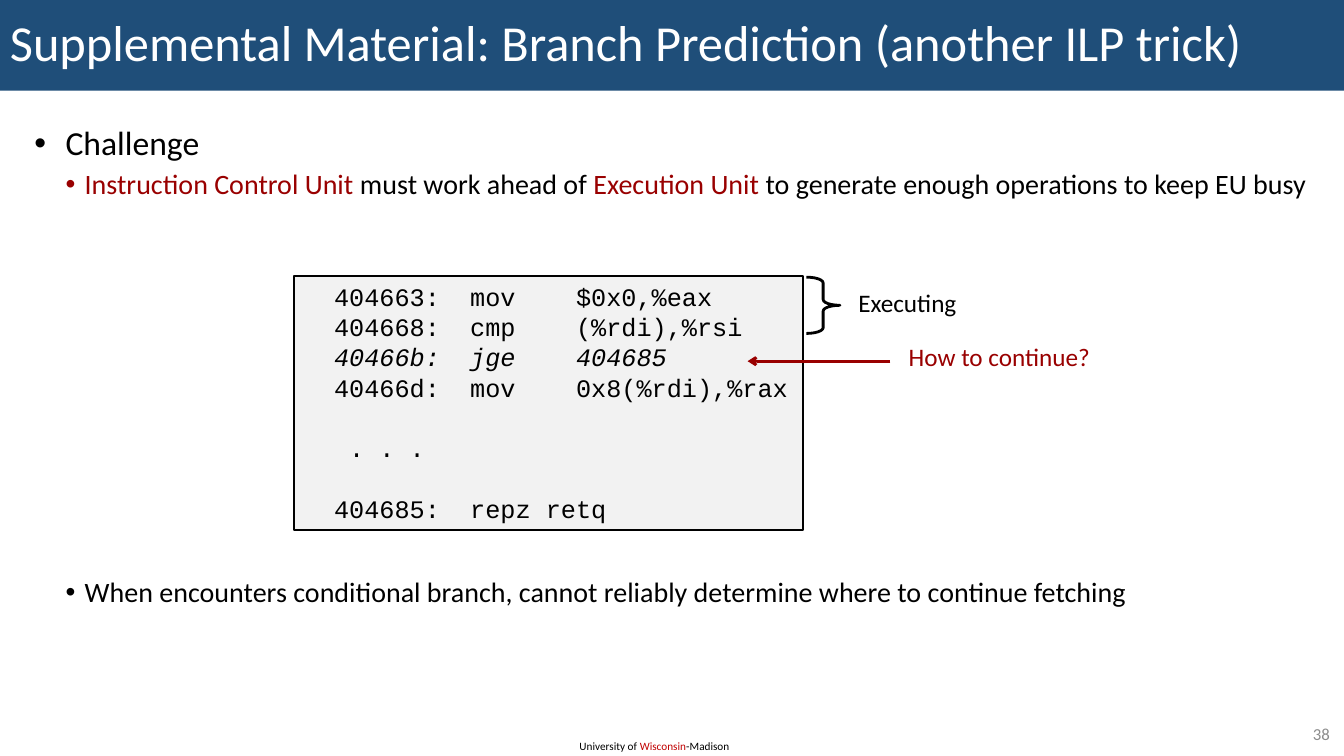
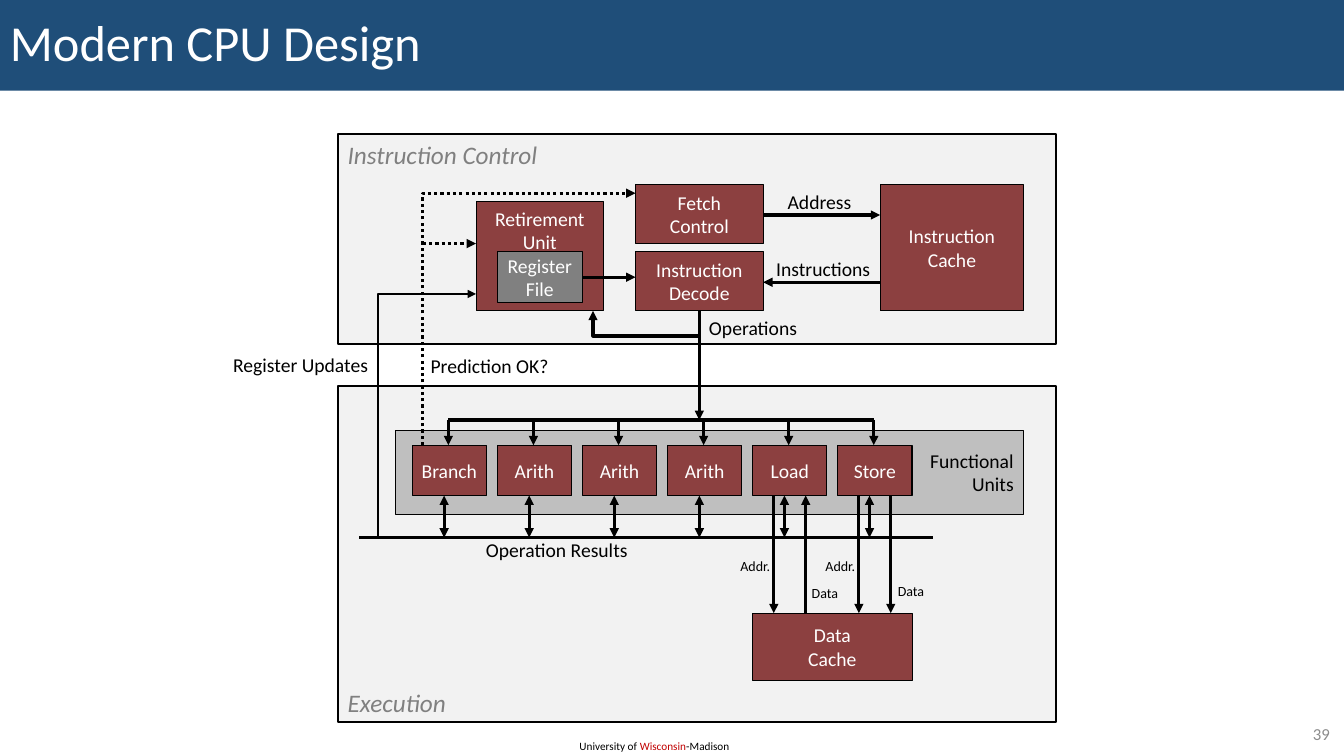
"""Build two lecture slides on branch prediction and CPU design."""
import dataclasses

import lxml.etree
import pptx
import pptx.dml.color
import pptx.enum.dml
import pptx.enum.shapes
import pptx.enum.text
import pptx.oxml.ns
import pptx.util

COLORS = {
    "title": "1F4E79", "white": "FFFFFF", "black": "000000", "red": "990000",
    "badger": "C00000", "number": "8C8C8C", "panel": "F2F2F2",
    "backdrop": "BFBFBF", "gray": "808080", "block": "8C4040",
}
WIDTH, HEIGHT = 13.33, 7.5
ROW = HEIGHT / 90
ALIGN = pptx.enum.text.PP_ALIGN
ANCHOR = pptx.enum.text.MSO_ANCHOR
SHAPES = pptx.enum.shapes.MSO_SHAPE
qn = pptx.oxml.ns.qn


@dataclasses.dataclass
class Canvas:
    """A slide with a grid of columns and rows on it."""
    slide: object
    left: float = 0
    column: float = WIDTH / 160

    def point(self, column, row):
        """Return a grid position as slide lengths."""
        return (pptx.util.Inches(self.left + column * self.column),
                pptx.util.Inches(row * ROW))

    def box(self, column, row, columns, rows):
        """Return left, top, width and height of a grid area."""
        return (*self.point(column, row),
                pptx.util.Inches(columns * self.column),
                pptx.util.Inches(rows * ROW))


def rgb(name):
    """Return a named colour."""
    return pptx.dml.color.RGBColor.from_string(COLORS[name])


def write_text(shape, text, size=14, color="black", font="Calibri", italic=False,
               align=ALIGN.LEFT, anchor=ANCHOR.TOP, wrap=False, spacing=None,
               bullets=None):
    """Fill a shape with lines, each a string or a list of (text, changes) runs."""
    frame = shape.text_frame
    frame.word_wrap = wrap
    frame.vertical_anchor = anchor
    lines = [text] if isinstance(text, str) else text
    for index, line in enumerate(lines):
        paragraph = frame.paragraphs[0] if index == 0 else frame.add_paragraph()
        if bullets:
            add_bullet(paragraph, *bullets[index])
        paragraph.alignment = align
        if spacing:
            paragraph.line_spacing = spacing
        if bullets and index:
            paragraph.space_before = pptx.util.Pt(5)
        for words, changes in [(line, {})] if isinstance(line, str) else line:
            run = paragraph.add_run()
            run.text = words
            run.font.name = font
            run.font.size = pptx.util.Pt(changes.get("size", size))
            run.font.italic = changes.get("italic", italic)
            run.font.color.rgb = rgb(changes.get("color", color))


def add_bullet(paragraph, indent, hang):
    """Give a paragraph a hanging round bullet, measured in inches."""
    properties = paragraph._p.get_or_add_pPr()
    properties.set("marL", str(pptx.util.Inches(indent)))
    properties.set("indent", str(-pptx.util.Inches(hang)))
    lxml.etree.SubElement(properties, qn("a:buFont")).set("typeface", "Arial")
    lxml.etree.SubElement(properties, qn("a:buChar")).set("char", "•")


def add_label(canvas, area, text, **style):
    """Add free text on a grid area."""
    write_text(canvas.slide.shapes.add_textbox(*canvas.box(*area)), text, **style)


def add_block(canvas, area, text, fill="block", line=0.75, **style):
    """Add a filled rectangle with text."""
    shape = canvas.slide.shapes.add_shape(SHAPES.RECTANGLE, *canvas.box(*area))
    shape.shadow.inherit = False
    shape.fill.solid()
    shape.fill.fore_color.rgb = rgb(fill)
    if line:
        shape.line.color.rgb = rgb("black")
        shape.line.width = pptx.util.Pt(line)
    else:
        shape.line.fill.background()
    block_style = {"color": "white", "align": ALIGN.CENTER, "anchor": ANCHOR.MIDDLE}
    write_text(shape, text, **{**block_style, **style})


def add_brace(canvas, area):
    """Add an outlined right brace."""
    brace = canvas.slide.shapes.add_shape(SHAPES.RIGHT_BRACE, *canvas.box(*area))
    brace.shadow.inherit = False
    brace.adjustments[0] = 0.17
    brace.fill.background()
    brace.line.color.rgb = rgb("black")
    brace.line.width = pptx.util.Pt(2)


def add_route(canvas, *stops, width=2.25, color="black", dotted=False,
              head=None, tail="triangle"):
    """Draw a line through grid positions, with arrowheads at its ends."""
    points = [canvas.point(*stop) for stop in stops]
    shapes = canvas.slide.shapes
    if len(points) == 2:
        straight = pptx.enum.shapes.MSO_CONNECTOR.STRAIGHT
        route = shapes.add_connector(straight, *points[0], *points[1])
    else:
        builder = shapes.build_freeform(*points[0], scale=1.0)
        builder.add_line_segments(points[1:], close=False)
        route = builder.convert_to_shape()
        route.fill.background()
    route.line.color.rgb = rgb(color)
    route.line.width = pptx.util.Pt(width)
    if dotted:
        route.line.dash_style = pptx.enum.dml.MSO_LINE.ROUND_DOT
    properties = route.element.spPr
    outline = properties.find(qn("a:ln"))
    for tag, kind in (("a:headEnd", head), ("a:tailEnd", tail)):
        if kind:
            lxml.etree.SubElement(outline, qn(tag)).set("type", kind)
    lxml.etree.SubElement(properties, qn("a:effectLst"))


def start_slide(presentation, title, number):
    """Add a blank slide with title band, footer and slide number."""
    canvas = Canvas(presentation.slides.add_slide(presentation.slide_layouts[6]))
    footer = [("University of ", {}), ("Wisconsin", {"color": "badger"}),
              ("-Madison", {})]
    add_label(canvas, (67.8, 87.4, 20.6, 2.9), [footer], size=8)
    add_block(canvas, (0, 0, 160, 10.8), title, fill="title", line=0, size=36,
              align=ALIGN.LEFT, wrap=True, spacing=0.9)
    add_label(canvas, (150.4, 85.6, 9.1, 3.5), str(number), size=12,
              color="number", align=ALIGN.RIGHT, anchor=ANCHOR.MIDDLE)
    return canvas


def build_prediction_slide(presentation):
    """Build the slide on the branch prediction challenge."""
    canvas = start_slide(
        presentation, "Supplemental Material: Branch Prediction (another ILP trick)", 38)
    red = {"color": "red"}
    top_level, sub_level = (0.31, 0.31), (0.5, 0.19)
    body = {"size": 20, "wrap": True, "spacing": 0.9}
    challenge = [
        [("Challenge", {"size": 24})],
        [("Instruction Control Unit ", red), ("must work ahead of ", {}),
         ("Execution Unit ", red),
         ("to generate enough operations to keep EU busy", {})],
    ]
    add_label(canvas, (2.9, 14.5, 154, 10), challenge,
              bullets=[top_level, sub_level], **body)
    add_label(canvas, (2.9, 68.3, 154, 5),
              ["When encounters conditional branch, cannot reliably determine "
               "where to continue fetching"], bullets=[sub_level], **body)
    code = [
        "  404663:  mov    $0x0,%eax",
        "  404668:  cmp    (%rdi),%rsi",
        [("  ", {}), ("40466b:  jge    404685", {"italic": True})],
        "  40466d:  mov    0x8(%rdi),%rax",
        "   ",
        "   . . .",
        "   ",
        "  404685:  repz retq",
    ]
    add_block(canvas, (35, 32.9, 60.6, 30.2), code, fill="panel", line=1.5, size=18,
              color="black", font="Courier New", align=ALIGN.LEFT, anchor=ANCHOR.TOP)
    add_brace(canvas, (96, 33, 4, 6.7))
    add_label(canvas, (101, 33.6, 14.3, 4.8), "Executing", size=18)
    add_label(canvas, (107, 40, 24.2, 4.8), "How to continue?", size=18, color="red")
    add_route(canvas, (106, 43), (89, 43), width=2, color="red", tail="arrow")


def add_panels(canvas):
    """Add the two regions of the CPU and the backdrop of its functional units."""
    region = {"fill": "panel", "line": 1.5, "size": 18, "color": "gray",
              "italic": True, "align": ALIGN.LEFT}
    add_block(canvas, (0, 46, 67.5, 40), "Execution", anchor=ANCHOR.BOTTOM, **region)
    add_block(canvas, (5.4, 51.2, 59.1, 10), ["Functional", "Units"],
              fill="backdrop", color="black", align=ALIGN.RIGHT)
    add_block(canvas, (0, 16, 67.5, 25), "Instruction Control",
              anchor=ANCHOR.TOP, **region)


def add_functional_units(canvas):
    """Add the row of functional units with their links to both buses."""
    for index, name in enumerate(("Branch", "Arith", "Arith", "Arith", "Load", "Store")):
        left = 7 + 8 * index
        add_block(canvas, (left, 53, 7, 6), name)
        add_route(canvas, (left + 3.4, 50), (left + 3.4, 53))
        add_route(canvas, (left + 3, 59), (left + 3, 64), head="triangle")
    add_route(canvas, (10.4, 50), (50.4, 50), tail=None)
    add_route(canvas, (2, 64), (56, 64), tail=None)


def build_design_slide(presentation):
    """Build the block diagram of a modern CPU."""
    canvas = start_slide(presentation, "Modern CPU Design", 39)
    canvas.left, canvas.column = 3.35, 7.12 / 67.5
    add_panels(canvas)

    add_block(canvas, (13, 24, 12, 13), ["Retirement", "Unit"], anchor=ANCHOR.TOP)
    for area, lines, fill in (
        ((15, 30, 8, 6), ["Register", "File"], "gray"),
        ((28, 22, 12, 7), ["Fetch", "Control"], "block"),
        ((28, 30, 12, 7), ["Instruction", "Decode"], "block"),
        ((51, 22, 13.5, 15), ["Instruction", "Cache"], "block"),
        ((39, 73, 15, 8), ["Data", "Cache"], "block"),
    ):
        add_block(canvas, area, lines, fill=fill)

    for stops in (
        [(40, 25.6), (51, 25.6)],
        [(51, 33.6), (40, 33.6)],
        [(34, 37), (34, 50)],
        [(23, 33), (28, 33)],
        [(34, 40), (24, 40), (24, 37)],
        [(41, 59), (41, 73)],
        [(44, 73), (44, 59)],
        [(49, 59), (49, 73)],
        [(52, 59), (52, 73)],
    ):
        add_route(canvas, *stops)
    add_route(canvas, (8, 53), (8, 23), (28, 23), dotted=True)
    add_route(canvas, (8, 29), (13, 29), dotted=True)
    add_route(canvas, (3.8, 64), (3.8, 35), (13, 35), width=1.5)
    add_functional_units(canvas)

    for column, row, columns, text, align, size in (
        (41.2, 22, 8.2, "Address", ALIGN.CENTER, 14),
        (40.1, 30, 11.1, "Instructions", ALIGN.CENTER, 14),
        (33.8, 37, 10.5, "Operations", ALIGN.CENTER, 14),
        (7.8, 41.5, 13.4, "Prediction OK?", ALIGN.LEFT, 14),
        (-11.2, 41.4, 15, "Register Updates", ALIGN.RIGHT, 14),
        (13, 63.4, 15.7, "Operation Results", ALIGN.LEFT, 14),
        (51.6, 68.8, 4.6, "Data", ALIGN.CENTER, 10),
        (43.5, 69, 4.6, "Data", ALIGN.CENTER, 10),
        (36.8, 65.8, 4.9, "Addr.", ALIGN.CENTER, 10),
        (44.8, 65.8, 4.9, "Addr.", ALIGN.CENTER, 10),
    ):
        add_label(canvas, (column, row, columns, 0.29 * size), text,
                  size=size, align=align)


def main():
    """Build and save the presentation."""
    presentation = pptx.Presentation()
    presentation.slide_width = pptx.util.Inches(WIDTH)
    presentation.slide_height = pptx.util.Inches(HEIGHT)
    build_prediction_slide(presentation)
    build_design_slide(presentation)
    presentation.save("out.pptx")


if __name__ == "__main__":
    main()
